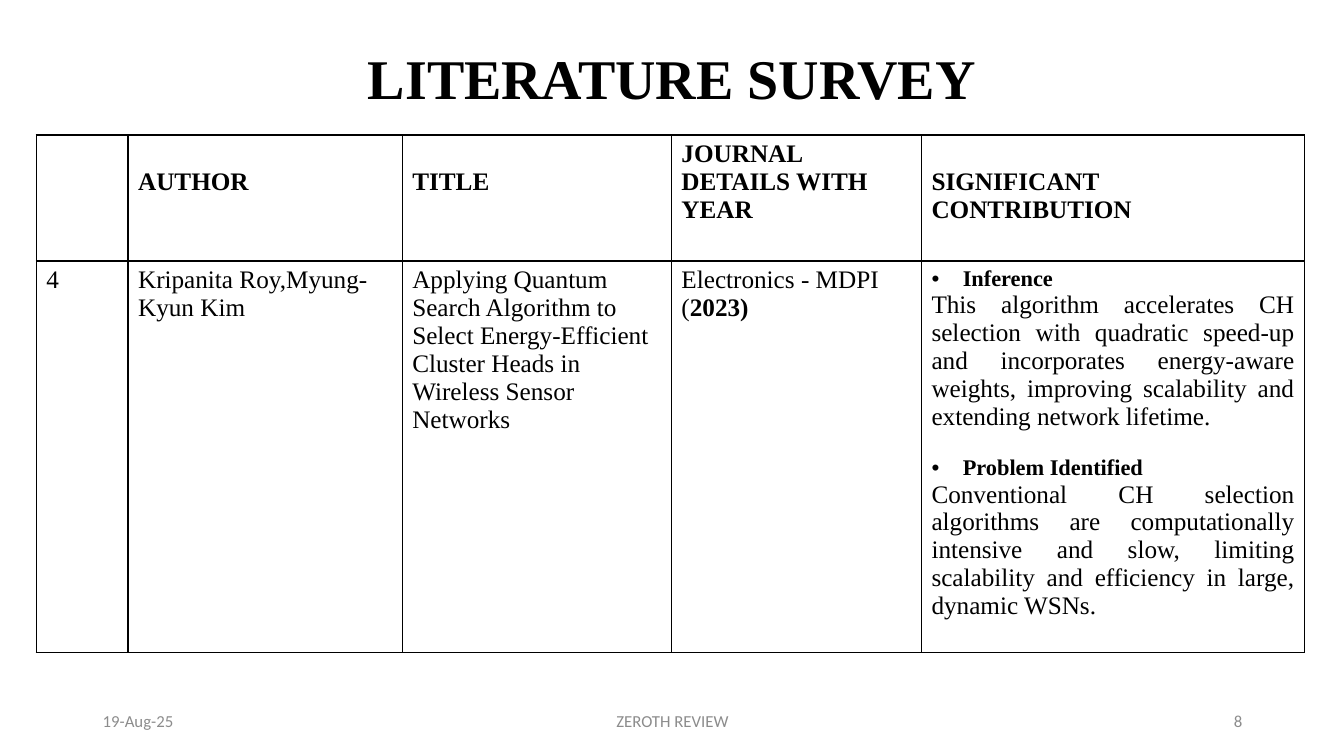
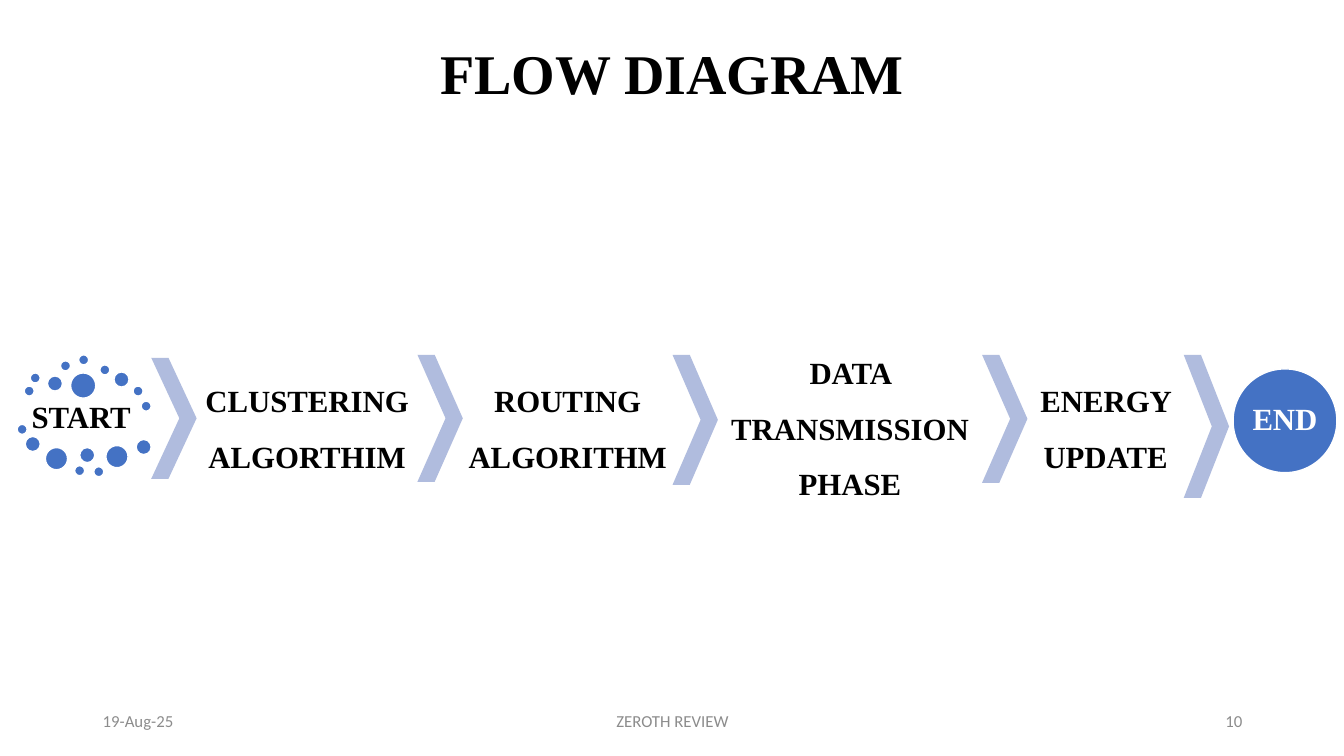
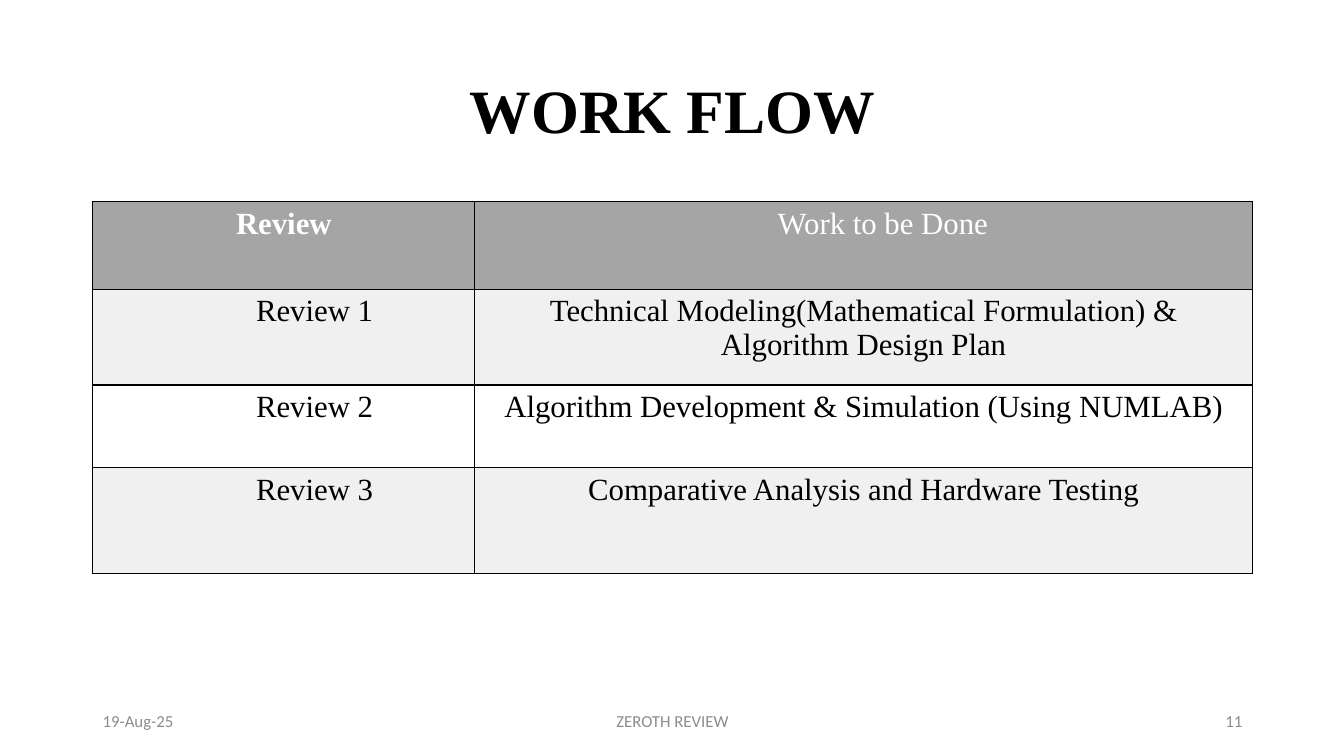
from dataclasses import dataclass

from pptx import Presentation
from pptx.dml.color import RGBColor
from pptx.enum import shapes, text
from pptx.oxml import parse_xml
from pptx.oxml.ns import nsdecls
from pptx.util import Inches, Pt


@dataclass(frozen=True)
class Theme:
    serif: str = "Times New Roman"
    sans: str = "Calibri"
    black: str = "000000"
    white: str = "FFFFFF"
    muted: str = "8C8C8C"
    blue: str = "4472C4"
    pale_blue: str = "B0BCDE"
    header_gray: str = "A5A5A5"
    band_gray: str = "F0F0F0"
    title: int = 40
    big_title: int = 44
    flow: int = 22
    body: int = 18
    label: int = 16
    footer: int = 12


T = Theme()
LEFT, CENTER, RIGHT, JUSTIFY = (text.PP_ALIGN.LEFT, text.PP_ALIGN.CENTER,
                                text.PP_ALIGN.RIGHT, text.PP_ALIGN.JUSTIFY)
MIDDLE = text.MSO_ANCHOR.MIDDLE


def write(p, words, size=T.body, bold=False, color=T.black, font=T.serif,
          align=LEFT, spacing=None):
    """Add one formatted run to a paragraph and set the paragraph's layout."""
    p.alignment = align
    if spacing:
        p.line_spacing = spacing
    r = p.add_run()
    r.text = words
    r.font.size = Pt(size)
    r.font.bold = bold
    r.font.name = font
    r.font.color.rgb = RGBColor.from_string(color)


def add_grid(s, left, top, widths, heights, fills):
    """Add a table with black borders and one fill colour per row."""
    table = s.shapes.add_table(
        len(heights), len(widths), Inches(left), Inches(top),
        Inches(sum(widths)), Inches(sum(heights))).table
    for column, width in zip(table.columns, widths):
        column.width = Inches(width)
    for row, height, fill in zip(table.rows, heights, fills):
        row.height = Inches(height)
        for cell in row.cells:
            tcPr = cell._tc.get_or_add_tcPr()
            for side in "LRTB":
                tcPr.append(parse_xml(
                    f'<a:ln{side} {nsdecls("a")} w="12700"><a:solidFill>'
                    f'<a:srgbClr val="{T.black}"/></a:solidFill></a:ln{side}>'))
            cell.fill.solid()
            cell.fill.fore_color.rgb = RGBColor.from_string(fill)
    return table


prs = Presentation()
prs.slide_width, prs.slide_height = Inches(13.33), Inches(7.5)

# Titles and footers
pages = [
    ("LITERATURE SURVEY", T.title, (0, 0, 13.33, 1.62), "8"),
    ("FLOW DIAGRAM", T.title, (0, 0, 13.33, 1.51), "10"),
    ("WORK FLOW", T.big_title, (0.92, 0.4, 11.5, 1.45), "11"),
]
slides = []
for title, size, box, number in pages:
    s = prs.slides.add_slide(prs.slide_layouts[5])
    sp = s.shapes.title
    sp.left, sp.top, sp.width, sp.height = map(Inches, box)
    tf = sp.text_frame
    tf.auto_size = text.MSO_AUTO_SIZE.NONE
    tf.vertical_anchor = MIDDLE
    write(tf.paragraphs[0], title, size, bold=True, align=CENTER, spacing=0.9)
    for x, width, words, align in [(0.92, 3, "19-Aug-25", LEFT),
                                   (4.42, 4.5, "ZEROTH REVIEW", CENTER),
                                   (9.42, 3, number, RIGHT)]:
        tf = s.shapes.add_textbox(Inches(x), Inches(6.95),
                                  Inches(width), Inches(0.4)).text_frame
        tf.word_wrap = True
        tf.vertical_anchor = MIDDLE
        write(tf.paragraphs[0], words, T.footer, color=T.muted, font=T.sans, align=align)
    slides.append(s)
survey, flow, work = slides

# Literature survey
table = add_grid(survey, 0.36, 1.34, [0.91, 2.72, 2.67, 2.48, 3.8], [1.25, 2.28],
                 [T.white, T.white])
headings = ["", "AUTHOR", "TITLE", "JOURNAL DETAILS WITH YEAR", "SIGNIFICANT CONTRIBUTION"]
for column, heading in enumerate(headings):
    if heading:
        cell = table.cell(0, column)
        cell.margin_top = Inches(0.05 if heading.startswith("JOURNAL") else 0.33)
        write(cell.text_frame.paragraphs[0], heading, bold=True)
entry = ["4", "Kripanita Roy,Myung-Kyun Kim",
         "Applying Quantum Search Algorithm to Select Energy-Efficient Cluster Heads "
         "in Wireless Sensor Networks",
         "Electronics - MDPI ("]
for column, words in enumerate(entry):
    write(table.cell(1, column).text_frame.paragraphs[0], words)
write(table.cell(1, 3).text_frame.paragraphs[0], "2023)", bold=True)

findings = [
    ("Inference",
     "This algorithm accelerates CH selection with quadratic speed-up and incorporates "
     "energy-aware weights, improving scalability and extending network lifetime."),
    ("Problem Identified",
     "Conventional CH selection algorithms are computationally intensive and slow, "
     "limiting scalability and efficiency in large, dynamic WSNs."),
]
tf = table.cell(1, 4).text_frame
for i, (label, detail) in enumerate(findings):
    p = tf.add_paragraph() if i else tf.paragraphs[0]
    pPr = p._p.get_or_add_pPr()
    pPr.set("marL", str(Inches(0.31)))
    pPr.set("indent", str(-Inches(0.31)))
    pPr.append(parse_xml(f'<a:buFont {nsdecls("a")} typeface="Arial"/>'))
    pPr.append(parse_xml(f'<a:buChar {nsdecls("a")} char="•"/>'))
    if i:
        p.space_before = Pt(18)
    write(p, label, T.label, bold=True, align=JUSTIFY)
    write(tf.add_paragraph(), detail, align=JUSTIFY)

# Flow diagram: each circle is left, top, diameter
dots = [
    (0.24, 3.83, 0.1), (0.3, 3.7, 0.1), (0.47, 3.73, 0.15), (0.6, 3.58, 0.1),
    (0.78, 3.52, 0.1), (0.99, 3.62, 0.1), (1.13, 3.69, 0.15), (1.32, 3.83, 0.1),
    (1.4, 3.98, 0.1), (0.7, 3.7, 0.25), (0.17, 4.21, 0.1), (0.25, 4.33, 0.15),
    (0.45, 4.44, 0.22), (0.74, 4.62, 0.1), (0.79, 4.44, 0.15), (0.93, 4.63, 0.1),
    (1.05, 4.42, 0.22), (1.35, 4.36, 0.15),
]
end_circle = (12.23, 3.66, 1.03)
for x, y, diameter in dots + [end_circle]:
    sp = flow.shapes.add_shape(shapes.MSO_SHAPE.OVAL, Inches(x), Inches(y),
                               Inches(diameter), Inches(diameter))
    sp.shadow.inherit = False
    sp.fill.solid()
    sp.fill.fore_color.rgb = RGBColor.from_string(T.blue)
    sp.line.color.rgb = RGBColor.from_string(T.white)
    sp.line.width = Pt(1)
tf = sp.text_frame
tf.margin_left = tf.margin_right = tf.margin_top = tf.margin_bottom = 0
tf.vertical_anchor = MIDDLE
write(tf.paragraphs[0], "END", T.flow, True, T.white, align=CENTER, spacing=0.9)

chevron_width = 0.45
chevrons = [(1.5, 3.55, 1.2), (4.14, 3.52, 1.26), (6.67, 3.52, 1.29),
            (9.74, 3.52, 1.27), (11.74, 3.52, 1.42)]
for x, y, height in chevrons:
    sp = flow.shapes.add_shape(shapes.MSO_SHAPE.CHEVRON, Inches(x), Inches(y),
                               Inches(chevron_width), Inches(height))
    sp.adjustments[0] = 0.62
    sp.shadow.inherit = False
    sp.fill.solid()
    sp.fill.fore_color.rgb = RGBColor.from_string(T.pale_blue)
    sp.line.fill.background()

steps = ["CLUSTERING ALGORTHIM", "ROUTING ALGORITHM", "DATA TRANSMISSION PHASE",
         "ENERGY UPDATE"]
labels = [(0.2, 1.21, "START", 0.9)]
for step, (x, _, _), (next_x, _, _) in zip(steps, chevrons, chevrons[1:]):
    start = x + chevron_width
    labels.append((start, next_x - start, step, 1.5))
for x, width, words, spacing in labels:
    tf = flow.shapes.add_textbox(Inches(x), Inches(3.52),
                                 Inches(width), Inches(1.27)).text_frame
    tf.word_wrap = True
    tf.vertical_anchor = MIDDLE
    tf.margin_left = tf.margin_right = tf.margin_top = tf.margin_bottom = Inches(0.03)
    write(tf.paragraphs[0], words, T.flow, bold=True, align=CENTER, spacing=spacing)

# Work flow
reviews = [
    ("Review", "Work to be Done"),
    ("Review 1", "Technical Modeling(Mathematical Formulation) & Algorithm Design Plan"),
    ("Review 2", "Algorithm Development & Simulation (Using NUMLAB)"),
    ("Review 3", "Comparative Analysis and Hardware Testing"),
]
table = add_grid(work, 0.92, 2, [3.79, 7.71], [0.87, 0.95, 0.82, 1.05],
                 [T.header_gray, T.band_gray, T.white, T.band_gray])
for i, (review, task) in enumerate(reviews):
    name_cell, task_cell = table.rows[i].cells
    color = T.black if i else T.white
    if i:
        name_cell.margin_left = Inches(1.62)
    else:
        task_cell.margin_left = Inches(0.48)
    write(name_cell.text_frame.paragraphs[0], review, T.flow, bold=i == 0, color=color,
          align=LEFT if i else CENTER)
    write(task_cell.text_frame.paragraphs[0], task, T.flow, color=color, align=CENTER)

prs.save("out.pptx")
